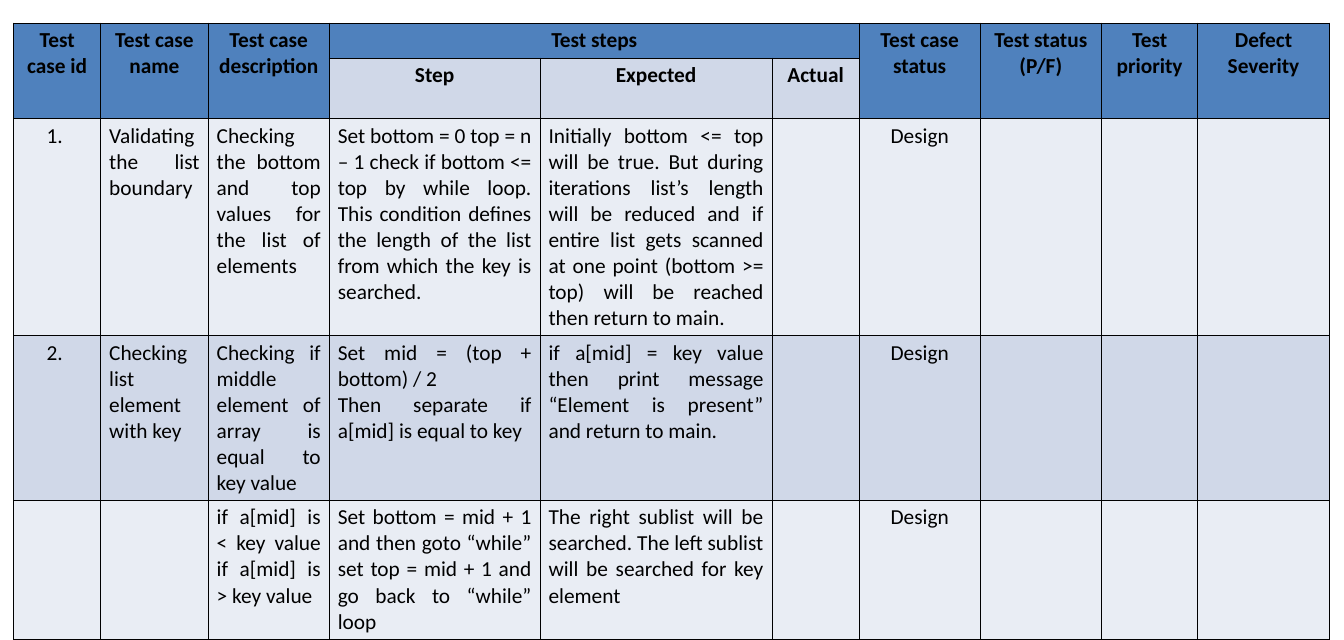
from lxml import etree
from pptx import Presentation
from pptx.dml.color import RGBColor
from pptx.enum import text
from pptx.oxml import ns
from pptx.util import Inches, Pt

COLORS = {"head": "4F81BD", "band": "D0D8E8", "light": "E9EDF4", "ink": "000000"}
FILLS = ["head", "band", "light", "band", "light"]
COLS = [1.02, 1.26, 1.42, 2.47, 2.72, 1.02, 1.42, 1.42, 1.13, 1.54]
ROWS = [0.41, 0.7, 2.54, 1.93, 1.63]
STEPS = range(3, 6)
CENTRED = (0, 6)

CELLS = [
    ["Test case id", "Test case name", "Test case description", "Test steps", "", "",
     "Test case status", "Test status (P/F)", "Test priority", "Defect Severity"],
    ["", "", "", "Step", "Expected", "Actual", "", "", "", ""],
    ["1. ", "Validating the list boundary",
     "Checking the bottom and top values for the list of elements",
     "Set bottom = 0 top = n – 1 check if bottom <= top by while loop. "
     "This condition defines the length of the list from which the key is searched.",
     "Initially bottom <= top will be true. But during iterations list’s length "
     "will be reduced and if entire list gets scanned at one point "
     "(bottom >= top) will be reached then return to main.",
     "", "Design", "", "", ""],
    ["2. ", "Checking list element with key",
     "Checking if middle element of array is equal to key value",
     "Set mid = (top + bottom) / 2\nThen separate if a[mid] is equal to key",
     "if a[mid] = key value then print message “Element is present” "
     "and return to main.",
     "", "Design", "", "", ""],
    ["", "", "if a[mid] is < key value if a[mid] is > key value",
     "Set bottom = mid + 1 and then goto “while” set top = mid + 1 "
     "and go back to “while” loop ",
     "The right sublist will be searched. The left sublist will be searched "
     "for key element",
     "", "Design", "", "", ""],
]


def rgb(name):
    return RGBColor.from_string(COLORS[name])


def edge(cell):
    """Draw a thin line on all four sides; must run before the fill is set."""
    props = cell._tc.get_or_add_tcPr()
    for side in ("lnL", "lnR", "lnT", "lnB"):
        line = etree.SubElement(props, ns.qn("a:" + side), w=str(Pt(1)))
        fill = etree.SubElement(line, ns.qn("a:solidFill"))
        etree.SubElement(fill, ns.qn("a:srgbClr"), val=COLORS["ink"])


def style(cell, fill):
    edge(cell)
    cell.fill.solid()
    cell.fill.fore_color.rgb = rgb(fill)


def write(cell, words, align, bold):
    cell.text_frame.text = words
    for para in cell.text_frame.paragraphs:
        para.alignment = align
        for run in para.runs:
            font = run.font
            font.name, font.size, font.bold = "Calibri", Pt(18), bold
            font.color.rgb = rgb("ink")


def merge(table):
    """Join the heading over the steps, and the other headings downwards."""
    table.cell(0, STEPS[0]).merge(table.cell(0, STEPS[-1]))
    for col in range(len(COLS)):
        if col not in STEPS:
            table.cell(0, col).merge(table.cell(1, col))


def grid(slide):
    frame = slide.shapes.add_table(
        len(ROWS), len(COLS), Inches(0.16), Inches(0.27),
        Inches(sum(COLS)), Inches(sum(ROWS)))
    table = frame.table
    for col, width in zip(table.columns, COLS):
        col.width = Inches(width)
    for row, height in zip(table.rows, ROWS):
        row.height = Inches(height)
    merge(table)
    for r, line in enumerate(CELLS):
        head = r < 2
        for c, words in enumerate(line):
            cell = table.cell(r, c)
            style(cell, FILLS[r] if c in STEPS or not head else "head")
            if words:
                mid = head or c in CENTRED
                align = text.PP_ALIGN.CENTER if mid else text.PP_ALIGN.JUSTIFY
                write(cell, words, align, head)


def main():
    deck = Presentation()
    deck.slide_width, deck.slide_height = Inches(15.75), Inches(7.5)
    grid(deck.slides.add_slide(deck.slide_layouts[6]))
    deck.save("out.pptx")


if __name__ == "__main__":
    main()
